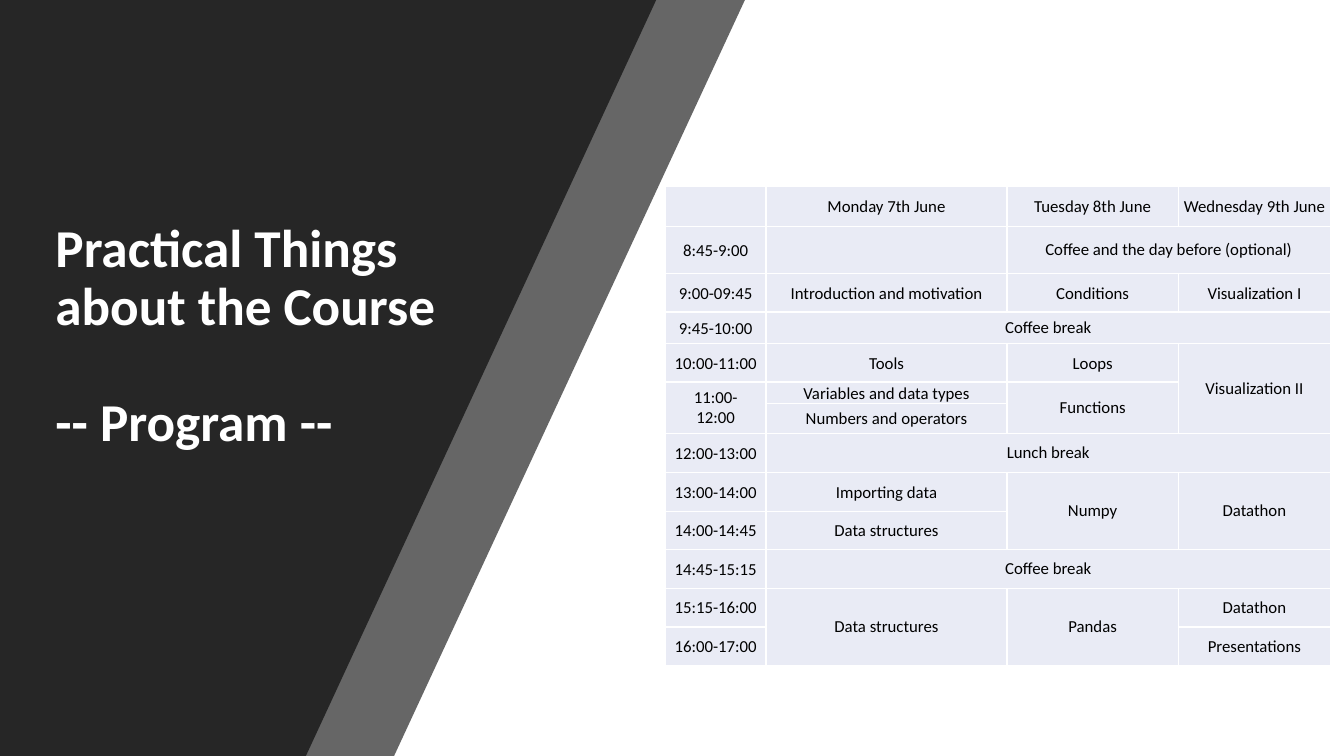
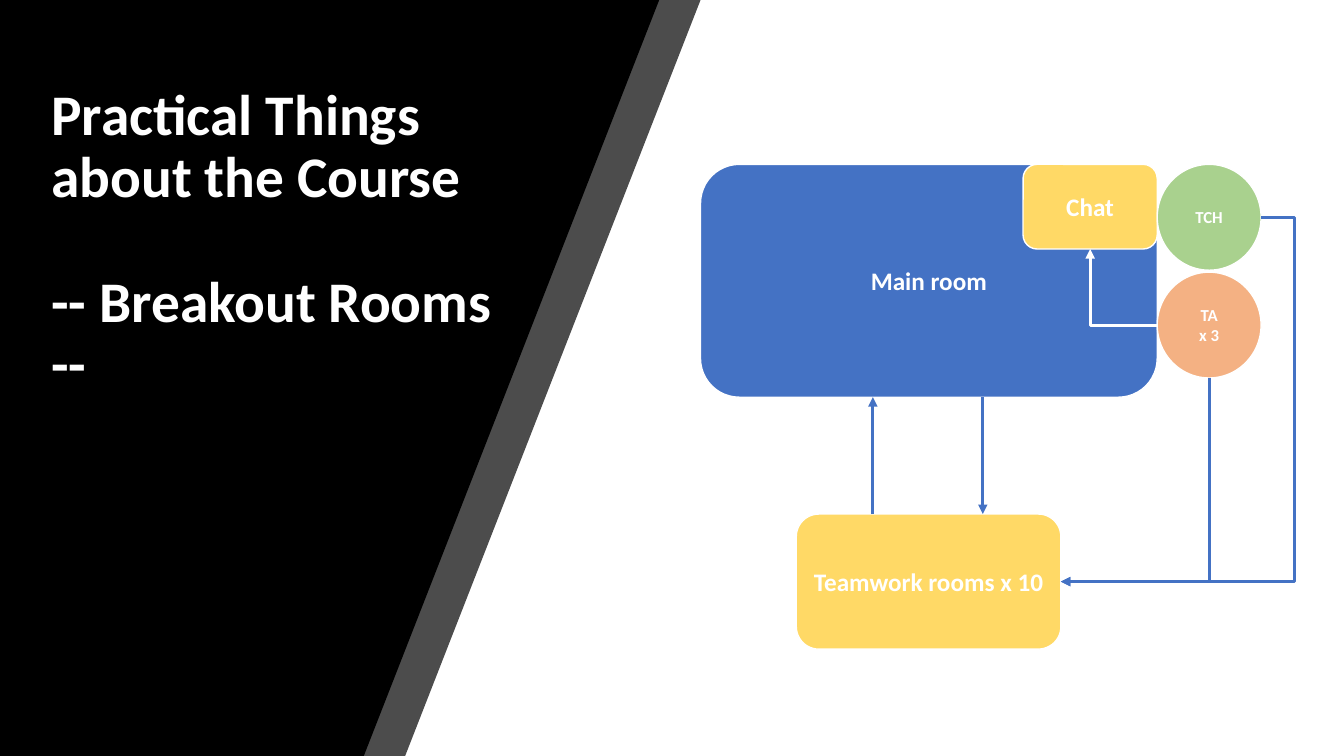
from dataclasses import dataclass

from lxml.etree import SubElement
from pptx import Presentation
from pptx.dml.color import RGBColor
from pptx.enum.shapes import MSO_CONNECTOR, MSO_SHAPE
from pptx.enum.text import MSO_ANCHOR, MSO_AUTO_SIZE, PP_ALIGN
from pptx.oxml.ns import qn
from pptx.shapes.autoshape import Shape
from pptx.shapes.connector import Connector
from pptx.slide import Slide
from pptx.table import _Cell
from pptx.text.text import _Paragraph
from pptx.util import Pt


@dataclass(frozen=True)
class Theme:
    font: str = "Calibri"
    white: str = "FFFFFF"
    black: str = "000000"
    charcoal: str = "262626"
    cell: str = "E9EBF5"
    blue: str = "4472C4"
    yellow: str = "FFD966"
    green: str = "A9D18E"
    orange: str = "F4B183"
    room_size: float = 18
    small_size: float = 12
    outline: float = 1
    arrow: float = 2.25
    title_leading: float = 0.9
    line_height: float = 1.22
    band_opacity: int = 70


THEME = Theme()
WIDTH, HEIGHT = 960, 540


@dataclass(frozen=True)
class Frame:
    left: float
    top: float
    width: float
    height: float

    def at(self, across: float, down: float) -> tuple[float, float]:
        return self.left + across * self.width, self.top + down * self.height


@dataclass(frozen=True)
class Band:
    top_edge: float
    bottom_edge: float
    opacity: int = 100


@dataclass(frozen=True)
class Panel:
    color: str
    bands: tuple[Band, Band]
    title_frame: Frame
    title_size: float
    title_anchor: MSO_ANCHOR
    subtitle: str


@dataclass(frozen=True)
class Session:
    row: int
    column: int
    topic: str
    rows: int = 1
    columns: int = 1


@dataclass(frozen=True)
class Node:
    preset: MSO_SHAPE
    frame: Frame
    color: str
    lines: tuple[str, ...]
    size: float


@dataclass(frozen=True)
class Elbow:
    source: str
    source_site: int
    start: tuple[float, float]
    target: str
    target_site: int
    end: tuple[float, float]
    color: str
    preset: str = "bentConnector2"
    rotation: int = 0
    bend: int | None = None


PROGRAM_PANEL = Panel(
    THEME.charcoal,
    (Band(532.1, 281.5, THEME.band_opacity), Band(468.7, 218.5)),
    Frame(32.4, 149.8, 305.3, 177.1), 38, MSO_ANCHOR.BOTTOM, "-- Program --")
ROOMS_PANEL = Panel(
    THEME.black,
    (Band(500.4, 289.4, THEME.band_opacity), Band(470.9, 259.9)),
    Frame(29.5, 55.4, 349.9, 234.7), 41, MSO_ANCHOR.MIDDLE, "-- Breakout Rooms --")

SCHEDULE_FRAME = Frame(475.2, 133.2, 475.2, 342.7)
COLUMN_WIDTHS = (72, 172.1, 122.4, 108.7)
ROW_HEIGHTS = (28.8, 33.5, 27.4, 22.7, 27.4, 15.4, 21.6) + (27.6,) * 6
DAYS = ("Monday 7th June", "Tuesday 8th June", "Wednesday 9th June")
TIMES = ("8:45-9:00", "9:00-09:45", "9:45-10:00", "10:00-11:00", "11:00-12:00",
         "12:00-13:00", "13:00-14:00", "14:00-14:45", "14:45-15:15",
         "15:15-16:00", "16:00-17:00")
TIME_ROWS = (1, 2, 3, 4, 5, 7, 8, 9, 10, 11, 12)
SPLIT_ROW = 5
SESSIONS = (
    Session(1, 2, "Coffee and the day before (optional)", columns=2),
    Session(2, 1, "Introduction and motivation"),
    Session(2, 2, "Conditions"),
    Session(2, 3, "Visualization I"),
    Session(3, 1, "Coffee break", columns=3),
    Session(4, 1, "Tools"),
    Session(4, 2, "Loops"),
    Session(4, 3, "Visualization II", rows=3),
    Session(5, 1, "Variables and data types"),
    Session(5, 2, "Functions", rows=2),
    Session(6, 1, "Numbers and operators"),
    Session(7, 1, "Lunch break", columns=3),
    Session(8, 1, "Importing data"),
    Session(8, 2, "Numpy", rows=2),
    Session(8, 3, "Datathon", rows=2),
    Session(9, 1, "Data structures"),
    Session(10, 1, "Coffee break", columns=3),
    Session(11, 1, "Data structures", rows=2),
    Session(11, 2, "Pandas", rows=2),
    Session(11, 3, "Datathon"),
    Session(12, 3, "Presentations"),
)

MAIN_ROOM = Frame(500.4, 117.4, 326.2, 166.3)
TEAMWORK = Frame(568.8, 367.2, 189, 96.5)
CHAT = Frame(730.8, 117.4, 95.8, 60.5)
TEACHER = Frame(826.6, 117.4, 74.2, 75.6)
ASSISTANTS = Frame(826.6, 194.4, 74.2, 75.6)
NODES = {
    "main": Node(MSO_SHAPE.ROUNDED_RECTANGLE, MAIN_ROOM, THEME.blue,
                 ("Main room",), THEME.room_size),
    "teamwork": Node(MSO_SHAPE.ROUNDED_RECTANGLE, TEAMWORK, THEME.yellow,
                     ("Teamwork rooms x 10",), THEME.room_size),
    "chat": Node(MSO_SHAPE.ROUNDED_RECTANGLE, CHAT, THEME.yellow,
                 ("Chat",), THEME.room_size),
    "teacher": Node(MSO_SHAPE.OVAL, TEACHER, THEME.green,
                    ("TCH",), THEME.small_size),
    "assistants": Node(MSO_SHAPE.OVAL, ASSISTANTS, THEME.orange,
                       ("TA", "x 3"), THEME.small_size),
}
MAIN_BOTTOM = MAIN_ROOM.top + MAIN_ROOM.height
ROOM_MOVES = (
    ((702, MAIN_BOTTOM), (702, TEAMWORK.top)),
    ((623.5, TEAMWORK.top), (623.5, MAIN_BOTTOM)),
)
ELBOWS = (
    Elbow("assistants", 4, ASSISTANTS.at(0.5, 1), "teamwork", 3, TEAMWORK.at(1, 0.5),
          THEME.blue, rotation=90),
    Elbow("teacher", 6, TEACHER.at(1, 0.5), "teamwork", 3, TEAMWORK.at(1, 0.5),
          THEME.blue, preset="bentConnector3", bend=-16800),
    Elbow("assistants", 2, ASSISTANTS.at(0, 0.5), "chat", 2, CHAT.at(0.5, 1),
          THEME.white, rotation=180),
)


def rgb(color: str) -> RGBColor:
    return RGBColor.from_string(color)


def add_run(paragraph: _Paragraph, text: str, size: float, color: str,
            bold: bool = False) -> None:
    run = paragraph.add_run()
    run.text = text
    run.font.name = THEME.font
    run.font.size = Pt(size)
    run.font.bold = bold
    run.font.color.rgb = rgb(color)


def add_band(slide: Slide, band: Band, color: str) -> None:
    builder = slide.shapes.build_freeform(0, 0, scale=1.0)
    corners = ((band.top_edge, 0), (band.bottom_edge, HEIGHT), (0, HEIGHT))
    builder.add_line_segments([(Pt(x), Pt(y)) for x, y in corners], close=True)
    slab = builder.convert_to_shape()
    slab.shadow.inherit = False
    slab.fill.solid()
    slab.fill.fore_color.rgb = rgb(color)
    slab.line.fill.background()
    if band.opacity < 100:
        tint = slab._element.spPr.find(".//" + qn("a:srgbClr"))
        SubElement(tint, qn("a:alpha")).set("val", str(band.opacity * 1000))


def add_panel_slide(deck: Presentation, panel: Panel) -> Slide:
    slide = deck.slides.add_slide(deck.slide_layouts[5])
    for band in panel.bands:
        add_band(slide, band, panel.color)
    title = slide.shapes.title
    slide.shapes._spTree.append(title._element)
    frame = panel.title_frame
    title.left, title.top = Pt(frame.left), Pt(frame.top)
    title.width, title.height = Pt(frame.width), Pt(frame.height)
    body = title.text_frame
    body.word_wrap = True
    body.auto_size = MSO_AUTO_SIZE.NONE
    body.vertical_anchor = panel.title_anchor
    heading, subtitle = body.paragraphs[0], body.add_paragraph()
    for paragraph, text in ((heading, "Practical Things about the Course"),
                            (subtitle, panel.subtitle)):
        paragraph.alignment = PP_ALIGN.LEFT
        paragraph.line_spacing = THEME.title_leading
        paragraph.space_before = Pt(0)
        add_run(paragraph, text, panel.title_size, THEME.white, bold=True)
    gap = panel.title_size * THEME.line_height * THEME.title_leading
    subtitle.space_before = Pt(round(gap, 1))
    return slide


def style_cell(cell: _Cell) -> None:
    cell.margin_left = cell.margin_right = cell.margin_top = Pt(0.7)
    cell.margin_bottom = 0
    cell.vertical_anchor = MSO_ANCHOR.MIDDLE
    properties = cell._tc.get_or_add_tcPr()
    for side in ("L", "R", "T", "B"):
        border = SubElement(properties, qn(f"a:ln{side}"), w=str(Pt(THEME.outline)))
        paint = SubElement(border, qn("a:solidFill"))
        SubElement(paint, qn("a:srgbClr"), val=THEME.white)
    cell.fill.solid()
    cell.fill.fore_color.rgb = rgb(THEME.cell)


def add_schedule(slide: Slide) -> None:
    frame = SCHEDULE_FRAME
    schedule = slide.shapes.add_table(
        len(ROW_HEIGHTS), len(COLUMN_WIDTHS), Pt(frame.left), Pt(frame.top),
        Pt(frame.width), Pt(frame.height)).table
    schedule.first_row = schedule.horz_banding = False
    for column, width in zip(schedule.columns, COLUMN_WIDTHS):
        column.width = Pt(width)
    for row, height in zip(schedule.rows, ROW_HEIGHTS):
        row.height = Pt(height)
    for cell in schedule.iter_cells():
        style_cell(cell)
    days = tuple(Session(0, column, day) for column, day in enumerate(DAYS, 1))
    times = tuple(Session(row, 0, time, rows=2 if row == SPLIT_ROW else 1)
                  for row, time in zip(TIME_ROWS, TIMES))
    for session in days + times + SESSIONS:
        cell = schedule.cell(session.row, session.column)
        if session.rows * session.columns > 1:
            cell.merge(schedule.cell(session.row + session.rows - 1,
                                     session.column + session.columns - 1))
            cell.margin_left = cell.margin_right = Pt(7.2)
            cell.margin_top = cell.margin_bottom = Pt(3.6)
        paragraph = cell.text_frame.paragraphs[0]
        paragraph.alignment = PP_ALIGN.CENTER
        add_run(paragraph, session.topic, THEME.small_size, THEME.black)


def add_node(slide: Slide, node: Node) -> Shape:
    frame = node.frame
    room = slide.shapes.add_shape(node.preset, Pt(frame.left), Pt(frame.top),
                                  Pt(frame.width), Pt(frame.height))
    room.shadow.inherit = False
    room.fill.solid()
    room.fill.fore_color.rgb = rgb(node.color)
    room.line.color.rgb = rgb(THEME.white)
    room.line.width = Pt(THEME.outline)
    label = room.text_frame
    label.word_wrap = True
    label.vertical_anchor = MSO_ANCHOR.MIDDLE
    for index, line in enumerate(node.lines):
        paragraph = label.add_paragraph() if index else label.paragraphs[0]
        paragraph.alignment = PP_ALIGN.CENTER
        add_run(paragraph, line, node.size, THEME.white, bold=True)
    return room


def add_arrow(slide: Slide, start: tuple[float, float], end: tuple[float, float],
              color: str, kind: MSO_CONNECTOR = MSO_CONNECTOR.STRAIGHT) -> Connector:
    arrow = slide.shapes.add_connector(kind, *(Pt(value) for value in start + end))
    arrow.line.color.rgb = rgb(color)
    arrow.line.width = Pt(THEME.arrow)
    SubElement(arrow.line._get_or_add_ln(), qn("a:tailEnd"), type="triangle")
    SubElement(arrow._element.spPr, qn("a:effectLst"))
    return arrow


def add_elbow(slide: Slide, elbow: Elbow, rooms: dict[str, Shape]) -> None:
    start, end = elbow.start, elbow.end
    if elbow.rotation:
        center_x, center_y = (start[0] + end[0]) / 2, (start[1] + end[1]) / 2
        half_width, half_height = abs(end[0] - start[0]) / 2, abs(end[1] - start[1]) / 2
        if elbow.rotation % 180:
            half_width, half_height = half_height, half_width
        start = (center_x - half_width, center_y - half_height)
        end = (center_x + half_width, center_y + half_height)
    arrow = add_arrow(slide, start, end, elbow.color, MSO_CONNECTOR.ELBOW)
    properties = arrow._element.spPr
    if elbow.rotation:
        properties.find(qn("a:xfrm")).set("rot", str(elbow.rotation * 60000))
    geometry = properties.find(qn("a:prstGeom"))
    geometry.set("prst", elbow.preset)
    if elbow.bend is not None:
        SubElement(geometry.find(qn("a:avLst")), qn("a:gd"),
                   name="adj1", fmla=f"val {elbow.bend}")
    joints = arrow._element.find(".//" + qn("p:cNvCxnSpPr"))
    for tag, room, site in (("a:stCxn", elbow.source, elbow.source_site),
                            ("a:endCxn", elbow.target, elbow.target_site)):
        SubElement(joints, qn(tag), id=str(rooms[room].shape_id), idx=str(site))


def main() -> None:
    deck = Presentation()
    deck.slide_width, deck.slide_height = Pt(WIDTH), Pt(HEIGHT)
    add_schedule(add_panel_slide(deck, PROGRAM_PANEL))
    rooms_slide = add_panel_slide(deck, ROOMS_PANEL)
    rooms = {key: add_node(rooms_slide, node) for key, node in NODES.items()}
    for start, end in ROOM_MOVES:
        add_arrow(rooms_slide, start, end, THEME.blue)
    for elbow in ELBOWS:
        add_elbow(rooms_slide, elbow, rooms)
    deck.save("out.pptx")


if __name__ == "__main__":
    main()
